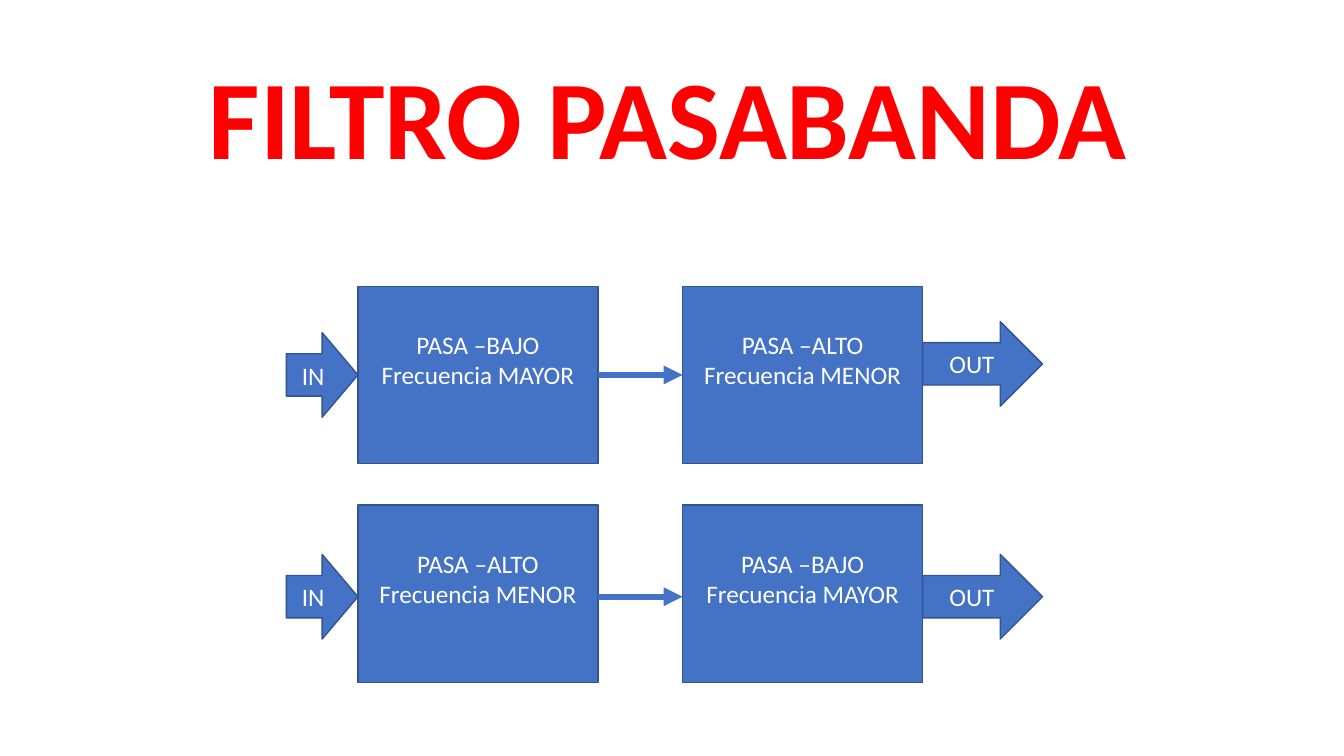
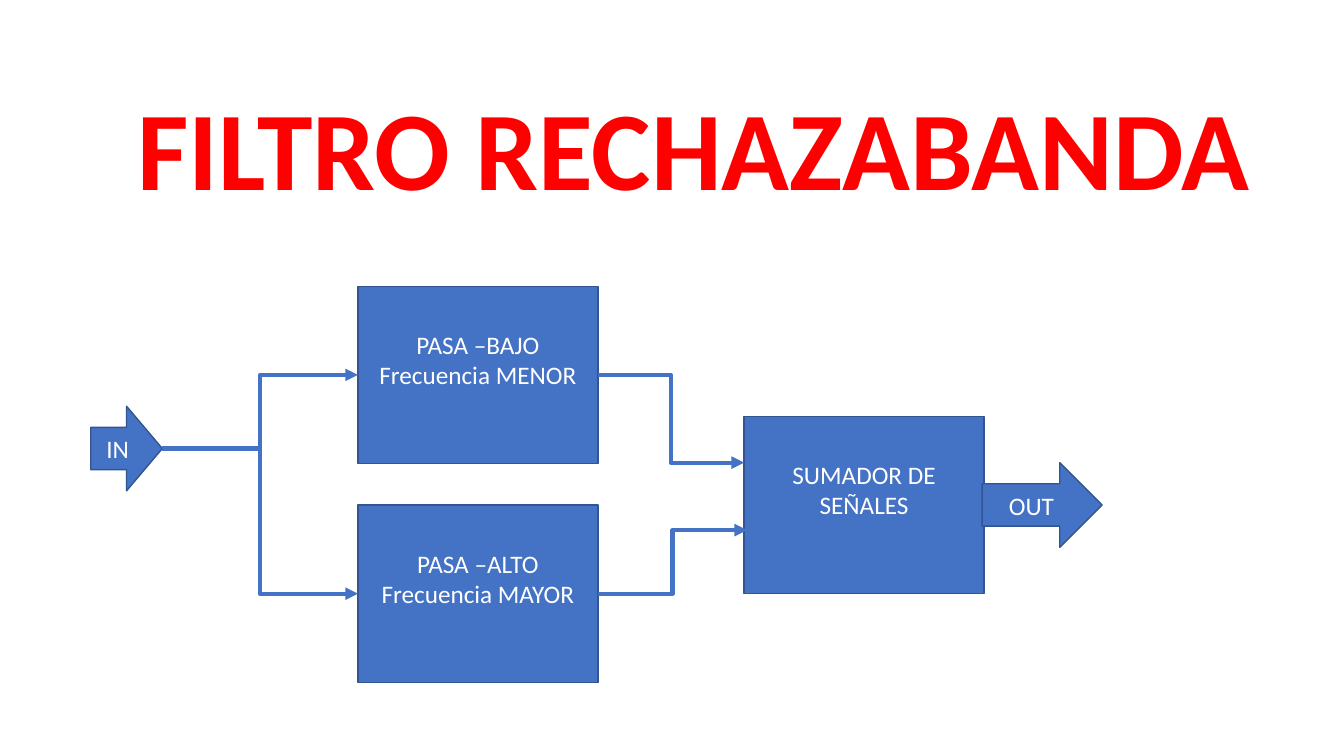
from lxml import etree
from pptx import Presentation
from pptx.dml.color import RGBColor
from pptx.enum.shapes import MSO_CONNECTOR, MSO_SHAPE
from pptx.enum.text import MSO_ANCHOR, MSO_AUTO_SIZE, PP_ALIGN
from pptx.oxml.ns import qn
from pptx.util import Inches, Pt

BLUE, EDGE, WHITE, RED = "4472C4", "325491", "FFFFFF", "FF0000"
LABEL_FONT = {"name": "Calibri", "size": Pt(18)}
TITLE_FONT = {"name": "Calibri", "size": Pt(80), "bold": True}
TITLE_ONLY = 5

BOX_W, BOX_H = 2.38, 1.76
ARROW_H, IN_W, OUT_W = 0.84, 0.71, 1.19
LEFT_X, RIGHT_X = 3.55, 6.77
TOP_Y, BOTTOM_Y = 2.84, 5.01

LOW, HIGH = "PASA –BAJO", "PASA –ALTO"
MINOR, MAJOR = "Frecuencia MENOR", "Frecuencia MAYOR"


def rgb(color):
    return RGBColor.from_string(color)


def set_font(font, values, color):
    for name, value in values.items():
        setattr(font, name, value)
    font.color.rgb = rgb(color)


def add_slide(prs, title, x, y, w):
    s = prs.slides.add_slide(prs.slide_layouts[TITLE_ONLY])
    sp = s.shapes.title
    sp.left, sp.top, sp.width, sp.height = map(Inches, (x, y, w, 1.45))
    tf = sp.text_frame
    tf.text = title
    tf.auto_size = MSO_AUTO_SIZE.NONE
    tf.word_wrap = False
    tf.vertical_anchor = MSO_ANCHOR.TOP
    p = tf.paragraphs[0]
    p.alignment = PP_ALIGN.LEFT
    set_font(p.runs[0].font, TITLE_FONT, RED)
    return s


def add_block(s, kind, x, y, w, h, lines):
    sp = s.shapes.add_shape(kind, *map(Inches, (x, y, w, h)))
    sp.shadow.inherit = False
    sp.fill.solid()
    sp.fill.fore_color.rgb = rgb(BLUE)
    sp.line.color.rgb = rgb(EDGE)
    sp.line.width = Pt(1)
    tf = sp.text_frame
    tf.word_wrap = True
    tf.vertical_anchor = MSO_ANCHOR.MIDDLE
    tf.text = "\n".join(lines)
    for p in tf.paragraphs:
        p.alignment = PP_ALIGN.CENTER
        set_font(p.runs[0].font, LABEL_FONT, WHITE)
    return sp


def add_box(s, x, y, *lines):
    """Add a filter stage whose text sits half a line above the middle."""
    sp = add_block(s, MSO_SHAPE.RECTANGLE, x, y, BOX_W, BOX_H, lines)
    sp.text_frame.margin_bottom = Inches(0.35)


def add_port(s, x, mid_y, w, label):
    """Add an input or output arrow centred on mid_y."""
    add_block(s, MSO_SHAPE.RIGHT_ARROW, x, mid_y - ARROW_H / 2, w, ARROW_H, [label])


def add_link(s, kind, start, end, width):
    cx = s.shapes.add_connector(kind, *map(Inches, start + end))
    cx.line.color.rgb = rgb(BLUE)
    cx.line.width = Pt(width)
    etree.SubElement(cx.line._get_or_add_ln(), qn("a:tailEnd"), type="triangle")
    etree.SubElement(cx._element.spPr, qn("a:effectLst"))


def build_band_pass(prs):
    s = add_slide(prs, "FILTRO PASABANDA", 1.97, 0.42, 9.4)
    low, high = (LOW, MAJOR), (HIGH, MINOR)
    rows = [(TOP_Y, 3.72, 3.61, low, high),
            (BOTTOM_Y, 5.92, 5.92, high, low)]
    for y, mid_y, out_y, first, second in rows:
        add_box(s, LEFT_X, y, *first)
        add_box(s, RIGHT_X, y, *second)
        add_link(s, MSO_CONNECTOR.STRAIGHT,
                 (LEFT_X + BOX_W, mid_y), (RIGHT_X, mid_y), 4.5)
        add_port(s, LEFT_X - IN_W, mid_y, IN_W, "IN")
        add_port(s, RIGHT_X + BOX_W, out_y, OUT_W, "OUT")


def build_band_reject(prs):
    s = add_slide(prs, "FILTRO RECHAZABANDA", 1.26, 0.73, 11.35)
    in_x, in_y, sum_x = 0.9, 4.45, 7.38
    add_box(s, sum_x, 4.13, "SUMADOR DE SEÑALES")
    add_port(s, in_x, in_y, IN_W, "IN")
    add_port(s, 9.74, 5.01, OUT_W, "OUT")
    branches = [(TOP_Y, (LOW, MINOR), (sum_x, 4.59)),
                (BOTTOM_Y, (HIGH, MAJOR), (sum_x + 0.03, 5.26))]
    for y, lines, sum_point in branches:
        mid_y = y + BOX_H / 2
        add_box(s, LEFT_X, y, *lines)
        add_link(s, MSO_CONNECTOR.ELBOW, (in_x + IN_W, in_y), (LEFT_X, mid_y), 3)
        add_link(s, MSO_CONNECTOR.ELBOW, (LEFT_X + BOX_W, mid_y), sum_point, 3)


def main():
    prs = Presentation()
    prs.slide_width, prs.slide_height = Inches(13.33), Inches(7.5)
    build_band_pass(prs)
    build_band_reject(prs)
    prs.save("out.pptx")


if __name__ == "__main__":
    main()
